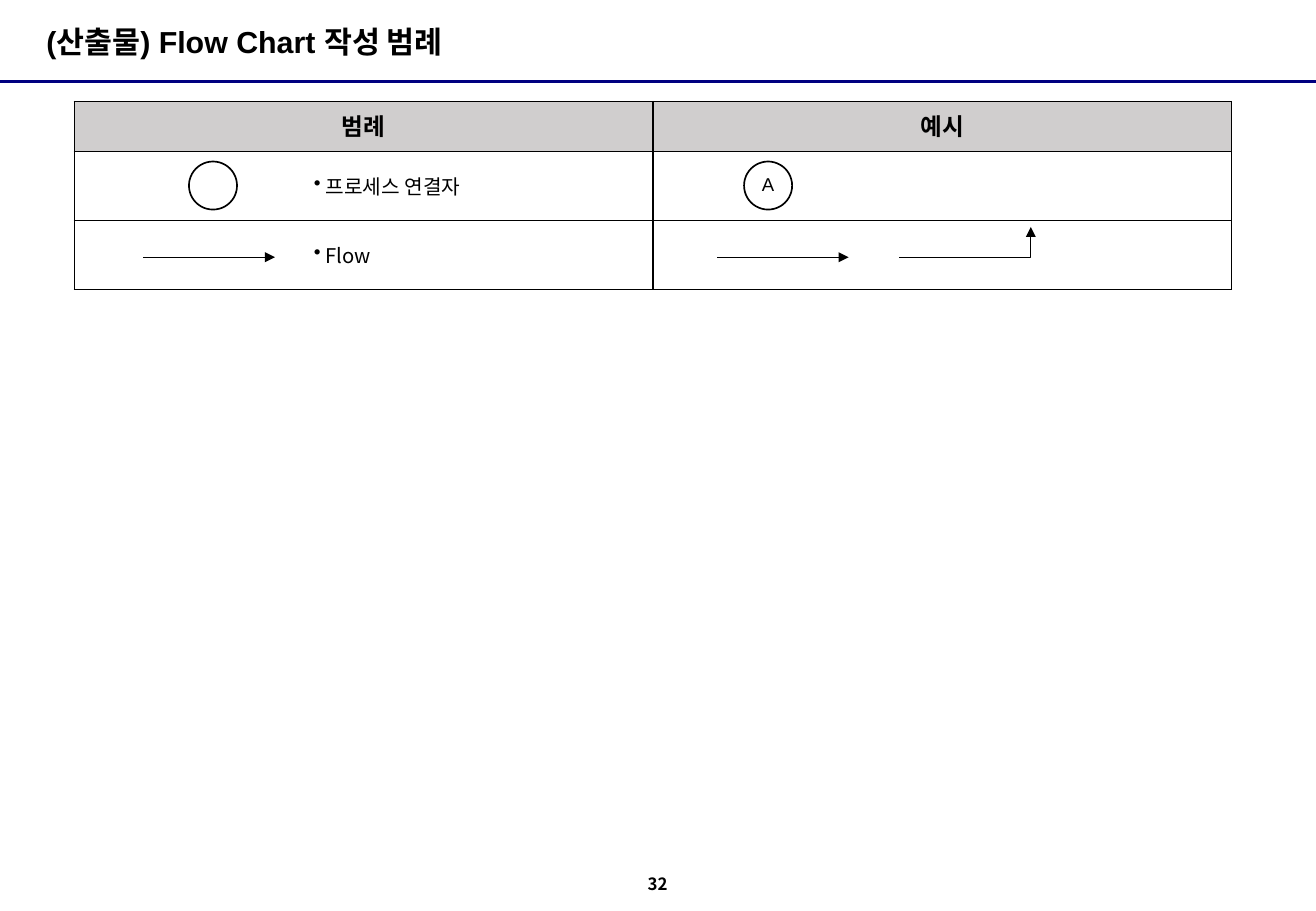
from lxml import etree
from pptx import Presentation
from pptx import util as u
from pptx.dml.color import RGBColor
from pptx.enum import shapes, text
from pptx.oxml.ns import qn

BLACK = RGBColor(0, 0, 0)
WHITE = RGBColor(255, 255, 255)
NAVY = RGBColor(0, 0, 128)
GRAY = RGBColor(0xD0, 0xCE, 0xCE)
LATIN, HANGUL = "Arial", "Noto Sans CJK KR"
MID = text.MSO_ANCHOR.MIDDLE
CENTER = text.PP_ALIGN.CENTER


class Page:
    """Holds the style and the current slide."""

    def __init__(self, deck):
        self.slide = deck.slides.add_slide(deck.slide_layouts[6])
        self.items = self.slide.shapes

    def style(self, frame, words, size, font=HANGUL, bold=False, align=None):
        frame.text = words
        para = frame.paragraphs[0]
        para.alignment = align
        for run in para.runs:
            run.font.size = u.Pt(size)
            run.font.name = font
            run.font.bold = bold
            run.font.color.rgb = BLACK
            east = etree.SubElement(run._r.get_or_add_rPr(), qn("a:ea"))
            east.set("typeface", HANGUL)
        return para

    def label(self, box, words, size, font=HANGUL, align=None):
        frame = self.items.add_textbox(*map(u.Pt, box)).text_frame
        frame.word_wrap = True
        frame.vertical_anchor = MID
        frame.margin_left = frame.margin_right = 0
        frame.margin_top = frame.margin_bottom = 0
        self.style(frame, words, size, font, True, align)

    def stroke(self, line, color, width, arrow=False):
        line.color.rgb = color
        line.width = u.Pt(width)
        if arrow:
            tail = etree.SubElement(line._get_or_add_ln(), qn("a:tailEnd"))
            tail.set("type", "triangle")

    def line(self, left, right, y, color=BLACK, width=0.75, arrow=True):
        link = self.items.add_connector(
            shapes.MSO_CONNECTOR.STRAIGHT,
            u.Pt(left), u.Pt(y), u.Pt(right), u.Pt(y))
        self.stroke(link.line, color, width, arrow)
        etree.SubElement(link._element.spPr, qn("a:effectLst"))

    def bend(self, left, right, y, top):
        pen = self.items.build_freeform(u.Pt(left), u.Pt(y))
        pen.add_line_segments(
            [(u.Pt(right), u.Pt(y)), (u.Pt(right), u.Pt(top))], close=False)
        elbow = pen.convert_to_shape()
        elbow.shadow.inherit = False
        elbow.fill.background()
        self.stroke(elbow.line, BLACK, 0.75, True)

    def node(self, left, top, side, words=""):
        ring = self.items.add_shape(
            shapes.MSO_SHAPE.FLOWCHART_CONNECTOR,
            *map(u.Pt, (left, top, side, side)))
        ring.shadow.inherit = False
        ring.fill.solid()
        ring.fill.fore_color.rgb = WHITE
        self.stroke(ring.line, BLACK, 1)
        if words:
            frame = ring.text_frame
            frame.vertical_anchor = MID
            frame.margin_left = frame.margin_right = u.Pt(1.5)
            frame.margin_top = frame.margin_bottom = 0
            para = self.style(frame, words, 11, LATIN, align=CENTER)
            para.line_spacing = 0.9

    def border(self, cell):
        props = cell._tc.get_or_add_tcPr()
        for side in ("lnL", "lnR", "lnT", "lnB"):
            edge = etree.SubElement(props, qn("a:" + side), w=str(u.Pt(1)))
            fill = etree.SubElement(edge, qn("a:solidFill"))
            etree.SubElement(fill, qn("a:srgbClr"), val=str(BLACK))

    def bullet(self, para, gap):
        props = para._p.get_or_add_pPr()
        props.set("marL", str(u.Pt(gap)))
        props.set("indent", str(-u.Pt(gap)))
        etree.SubElement(props, qn("a:buChar"), char="•")

    def table(self, left, top, width, heights, rows):
        cols = len(rows[0])
        grid = self.items.add_table(
            len(rows), cols,
            *map(u.Pt, (left, top, width, sum(heights)))).table
        grid.horz_banding = False
        for r, (height, row) in enumerate(zip(heights, rows)):
            grid.rows[r].height = u.Pt(height)
            for c, words in enumerate(row):
                cell = grid.cell(r, c)
                self.border(cell)
                if r == 0:
                    cell.fill.solid()
                    cell.fill.fore_color.rgb = GRAY
                    self.style(cell.text_frame, words, 14, bold=True,
                               align=CENTER)
                    continue
                cell.fill.background()
                if words:
                    cell.vertical_anchor = MID
                    cell.margin_left = u.Pt(142)
                    para = self.style(cell.text_frame, words, 12)
                    self.bullet(para, 7)


def main():
    deck = Presentation()
    deck.slide_width, deck.slide_height = u.Pt(780), u.Pt(540)
    page = Page(deck)

    # Heading and page number
    page.line(0, 780, 48.25, NAVY, 2.25, arrow=False)
    page.label((341.5, 508, 96.5, 32), "32", 10, align=CENTER)
    page.label((27.5, 0, 510, 49), "(산출물) Flow Chart 작성 범례", 18, LATIN)

    # Legend table
    page.table(44, 60.25, 686, (29.5, 41, 41),
               [("범례", "예시"), ("프로세스 연결자", ""), ("Flow", "")])

    # Connector symbols
    for left, words in ((112, ""), (441, "A")):
        page.node(left, 95.75, 28.5, words)

    # Flow arrows
    flow, span = 152.5, 78
    for left in (85, 425):
        page.line(left, left + span, flow)
    page.bend(533, 533 + span, flow, 134.5)

    deck.save("out.pptx")


if __name__ == "__main__":
    main()
